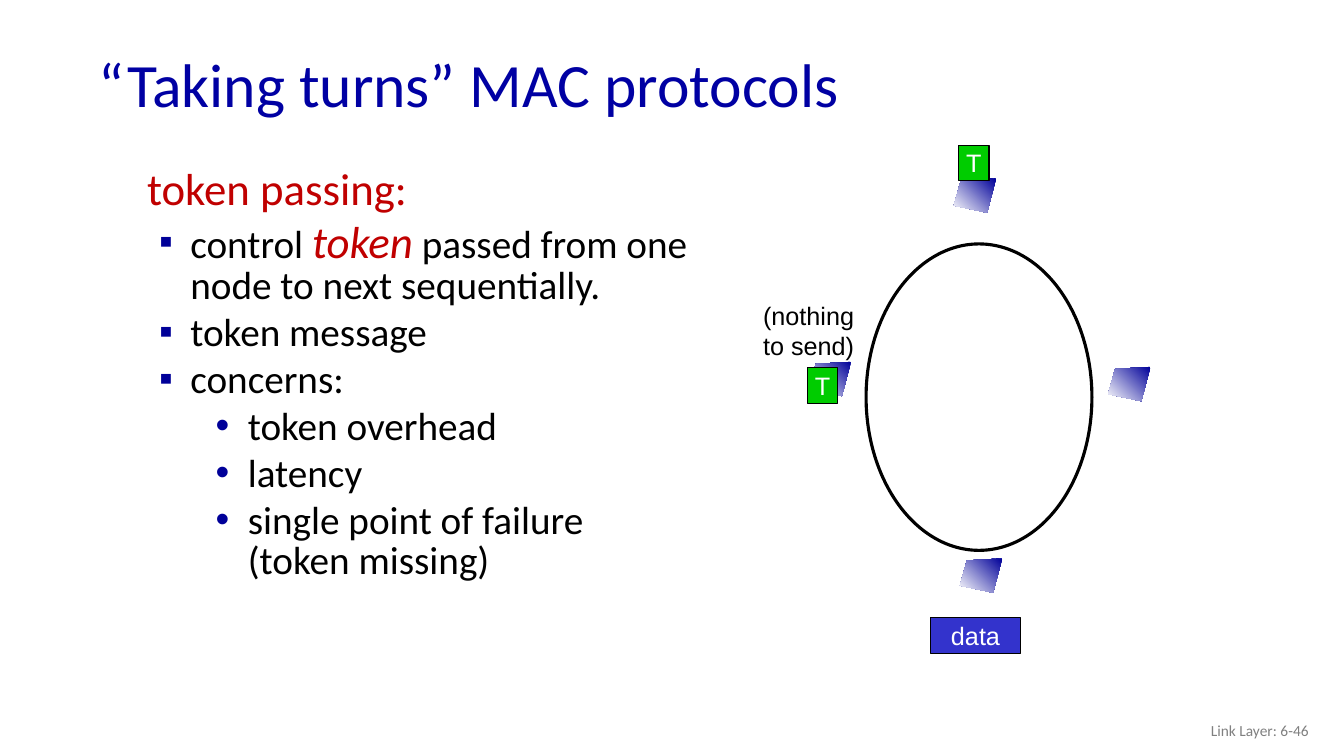
"""Build the slide on token passing in "taking turns" MAC protocols."""
from lxml.etree import SubElement
from pptx import Presentation
from pptx.dml.color import RGBColor
from pptx.enum.shapes import MSO_SHAPE
from pptx.enum.text import MSO_ANCHOR, PP_ALIGN
from pptx.oxml.ns import qn
from pptx.util import Inches, Pt

NAVY, BULLET_BLUE, RED, BLACK, WHITE = "0000A3", "000099", "C00000", "000000", "FFFFFF"
GREEN, DATA_BLUE, GREY = "00CC00", "3333CC", "808080"

TITLE = "“Taking turns” MAC protocols"
FOOTER = "Link Layer: 6-46"
HEADING = "token passing:"
EMPHASIS = dict(size=32, color=RED, italic=True)
POINTS = [
    (0, [("control ", {}), ("token", EMPHASIS),
         (" passed from one node to next sequentially.", {})]),
    (0, [("token message", {})]),
    (0, [("concerns:", {})]),
    (1, [("token overhead", {})]),
    (1, [("latency", {})]),
    (1, [("single point of failure", {}), ("\n", {}), ("(token missing)", {})]),
]
LEVELS = [("▪", 0.43, 0.31), ("•", 1, 0.32)]
IDLE_NOTE = ["(nothing", "to send)"]

RING = (8.59, 2.42, 2.24, 3.04)
STATIONS = [(10.99, 3.64), (8.02, 3.59), (9.46, 1.77), (9.52, 5.54)]
STATION_OUTLINE = [(0.42, 0), (0.07, 0.02), (0, 0.27), (0.33, 0.34)]
FRAMES = [
    ("T", (9.51, 1.44, 0.3, 0.35), GREEN),
    ("data", (9.23, 6.13, 0.89, 0.35), DATA_BLUE),
    ("T", (8.01, 3.65, 0.3, 0.35), GREEN),
]


def rgb(hex_color):
    return RGBColor.from_string(hex_color)


def write(paragraph, text, size=28, color=BLACK, font="Calibri", italic=False):
    if text == "\n":
        paragraph.add_line_break()
        return
    run = paragraph.add_run()
    run.text = text
    run.font.size = Pt(size)
    run.font.name = font
    run.font.italic = italic
    run.font.color.rgb = rgb(color)


def add_frame(slide, box, anchor=MSO_ANCHOR.TOP, wrap=True):
    frame = slide.shapes.add_textbox(*map(Inches, box)).text_frame
    frame.word_wrap = wrap
    frame.vertical_anchor = anchor
    return frame


def indent(paragraph, left, hanging, bullet):
    properties = paragraph._p.get_or_add_pPr()
    properties.set("marL", str(Inches(left)))
    properties.set("indent", str(-Inches(hanging)))
    bullet_color = SubElement(properties, qn("a:buClr"))
    SubElement(bullet_color, qn("a:srgbClr"), val=BULLET_BLUE)
    SubElement(properties, qn("a:buFont"), typeface="Arial")
    SubElement(properties, qn("a:buChar"), char=bullet)


def add_outline(body):
    heading = body.paragraphs[0]
    heading.line_spacing = 0.85
    write(heading, HEADING, size=32, color=RED)
    for level, runs in POINTS:
        point = body.add_paragraph()
        point.level = level
        bullet, left, hanging = LEVELS[level]
        indent(point, left, hanging, bullet)
        point.line_spacing = 0.85
        point.space_before = Pt(5)
        for text, style in runs:
            write(point, text, **style)


def add_station(slide, left, top):
    corners = [(Inches(left + x), Inches(top + y)) for x, y in STATION_OUTLINE]
    builder = slide.shapes.build_freeform(*corners[0])
    builder.add_line_segments(corners[1:], close=True)
    station = builder.convert_to_shape()
    station.shadow.inherit = False
    station.line.fill.background()
    station.fill.gradient()
    station.fill.gradient_angle = 225
    for stop, position, color in zip(station.fill.gradient_stops, (0, 1), (BULLET_BLUE, WHITE)):
        stop.position = position
        stop.color.rgb = rgb(color)


def add_outlined(slide, preset, box, line_width):
    shape = slide.shapes.add_shape(preset, *map(Inches, box))
    shape.shadow.inherit = False
    shape.line.color.rgb = rgb(BLACK)
    shape.line.width = Pt(line_width)
    return shape


def add_packet(slide, label, box, color):
    packet = add_outlined(slide, MSO_SHAPE.RECTANGLE, box, 0.75)
    packet.fill.solid()
    packet.fill.fore_color.rgb = rgb(color)
    frame = packet.text_frame
    frame.word_wrap = False
    frame.vertical_anchor = MSO_ANCHOR.MIDDLE
    frame.paragraphs[0].alignment = PP_ALIGN.CENTER
    write(frame.paragraphs[0], label, size=18, color=WHITE, font="Arial")


def main():
    deck = Presentation()
    deck.slide_width, deck.slide_height = Inches(13.33), Inches(7.5)
    slide = deck.slides.add_slide(deck.slide_layouts[6])

    title = add_frame(slide, (0.88, 0.38, 11.5, 0.98), MSO_ANCHOR.MIDDLE).paragraphs[0]
    title.line_spacing = 0.9
    write(title, TITLE, size=44, color=NAVY)

    footer = add_frame(slide, (10.08, 7.05, 3, 0.4), MSO_ANCHOR.MIDDLE).paragraphs[0]
    footer.alignment = PP_ALIGN.RIGHT
    write(footer, FOOTER, size=11, color=GREY)

    add_outline(add_frame(slide, (1.36, 1.63, 5.68, 5.08)))

    for left, top in STATIONS:
        add_station(slide, left, top)
    add_outlined(slide, MSO_SHAPE.OVAL, RING, 2.25).fill.background()
    for label, box, color in FRAMES:
        add_packet(slide, label, box, color)

    note = add_frame(slide, (7.47, 2.93, 1.1, 0.7), wrap=False)
    for number, line in enumerate(IDLE_NOTE):
        paragraph = note.add_paragraph() if number else note.paragraphs[0]
        write(paragraph, line, size=18, font="Arial")

    deck.save("out.pptx")


if __name__ == "__main__":
    main()
